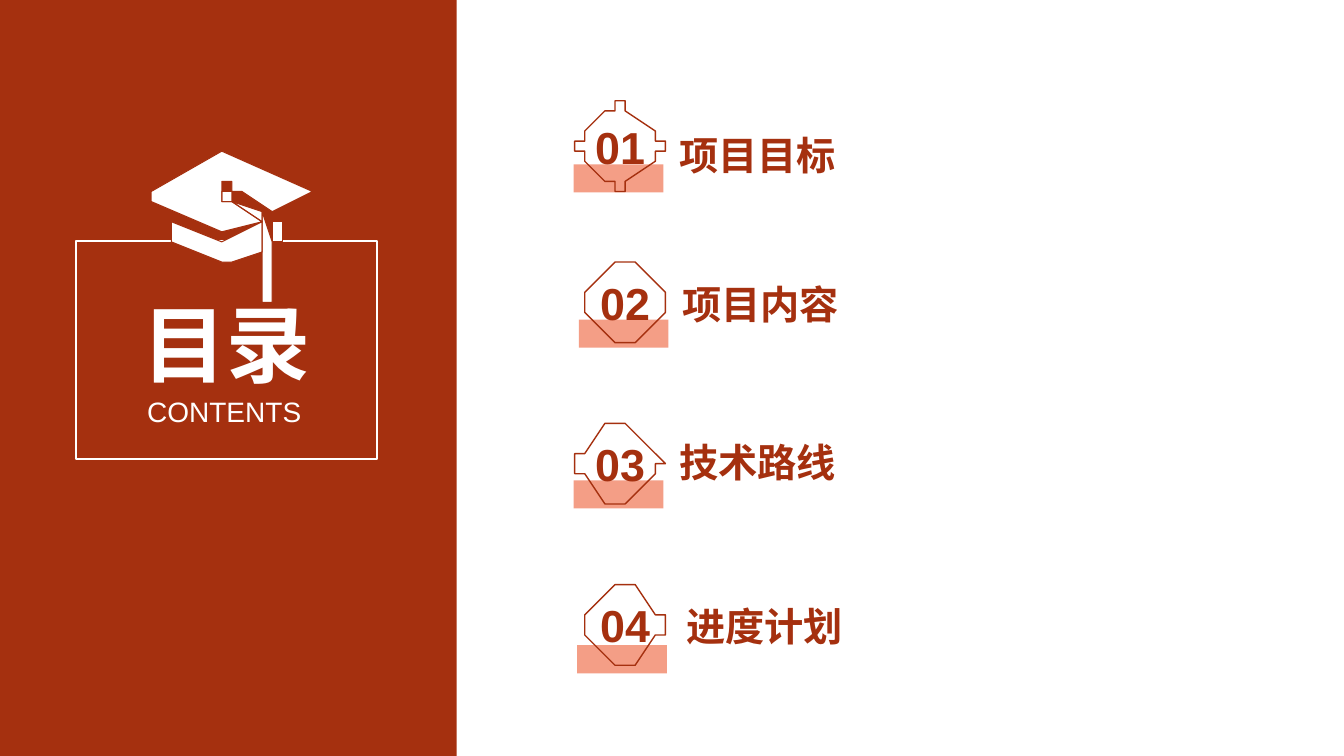
import math
from dataclasses import dataclass

import lxml.etree
import pptx
import pptx.dml.color
import pptx.enum.shapes
import pptx.enum.text
import pptx.oxml.ns
import pptx.util

ALIGN = pptx.enum.text.PP_ALIGN
ANCHOR = pptx.enum.text.MSO_ANCHOR


@dataclass(frozen=True)
class Theme:
    brick: str = "A5300F"
    salmon: str = "F49E86"
    white: str = "FFFFFF"
    chinese: str = "Noto Sans CJK SC"
    latin: str = "Arial"
    title: int = 60
    subtitle: int = 20
    number: int = 32
    label: int = 28


THEME = Theme()

# Number, diamond centre, label left and top; all in grid units
ENTRIES = [
    ("01", "项目目标", 61.4, 14.45, 66.4, 12.5),
    ("02", "项目内容", 61.9, 29.85, 66.7, 27.3),
    ("03", "技术路线", 61.4, 45.8, 66.4, 43.0),
    ("04", "进度计划", 61.75, 62.15, 67.1, 59.3),
]


def grid(units):
    """One grid unit is a tenth of an inch, across and down."""
    return pptx.util.Inches(units / 10)


def colour(value):
    return pptx.dml.color.RGBColor.from_string(value)


def style_shape(shape, fill=None, line=None, weight=1.0):
    shape.shadow.inherit = False
    if fill:
        shape.fill.solid()
        shape.fill.fore_color.rgb = colour(fill)
    else:
        shape.fill.background()
    if line:
        shape.line.color.rgb = colour(line)
        shape.line.width = pptx.util.Pt(weight)
    else:
        shape.line.fill.background()


def write_text(shape, text, size, face, ink, bold=True, align=ALIGN.LEFT,
               anchor=ANCHOR.TOP, wrap=True):
    frame = shape.text_frame
    frame.text = text
    frame.word_wrap = wrap
    frame.auto_size = pptx.enum.text.MSO_AUTO_SIZE.NONE
    frame.vertical_anchor = anchor
    para = frame.paragraphs[0]
    para.alignment = align
    para.font.size = pptx.util.Pt(size)
    para.font.bold = bold
    para.font.color.rgb = colour(ink)
    para.font.name = face
    # East Asian text needs its own typeface entry
    defaults = para.font._element
    east_asian = lxml.etree.SubElement(defaults, pptx.oxml.ns.qn("a:ea"))
    east_asian.set("typeface", face)


def add_rectangle(page, left, top, width, height, **style):
    box = page.shapes.add_shape(
        pptx.enum.shapes.MSO_SHAPE.RECTANGLE, *map(grid, (left, top, width, height)))
    style_shape(box, **style)


def add_text(page, left, top, width, height, *text, **style):
    box = page.shapes.add_textbox(*map(grid, (left, top, width, height)))
    write_text(box, *text, wrap=False, **style)


def add_outline(page, contours, **style):
    """Draw closed contours as one freeform."""
    builder = None
    for first, *rest in contours:
        if builder is None:
            builder = page.shapes.build_freeform(*first, scale=float(grid(1)))
        else:
            builder.move_to(*first)
        builder.add_line_segments(rest, close=True)
    outline = builder.convert_to_shape()
    style_shape(outline, **style)
    return outline


def arc(x, y, radius, start, end, steps=12):
    angles = [math.radians(start + (end - start) * i / steps) for i in range(steps + 1)]
    return [(x + radius * math.cos(a), y + radius * math.sin(a)) for a in angles]


def add_diamond(page, x, y, number):
    reach, radius = 2.62, 1.53
    points = []
    for turn in (0, 90, 180, 270):
        (corner,) = arc(x, y, reach, turn, turn, steps=1)[:1]
        points += arc(*corner, radius, turn - 45, turn + 45)
    diamond = add_outline(page, [points], line=THEME.brick)
    write_text(diamond, number, THEME.number, THEME.latin, THEME.brick,
               align=ALIGN.CENTER, anchor=ANCHOR.MIDDLE)


def add_cap(page):
    ring = (22.6, 19.3)
    side = [(26.7, 24.2), (27.6, 23.7), (27.6, 21.5), (26.7, 21.9)]
    band = [(17.4, 21.5), (17.4, 23.7), (22.2, 26.0), (22.55, 26.1), (22.9, 26.0),
            (25.8, 24.6), (25.8, 22.3), (22.5, 24.0)]
    cord = [(26.5, 21.3), (26.4, 21.3), (23.3, 19.5), *arc(*ring, 0.75, 0, -310),
            (26.2, 21.6)]
    board = [(30.6, 19.3), (22.5, 15.4), (14.7, 19.1), (14.7, 19.5), (22.5, 23.3),
             (25.8, 21.6), (25.8, 21.5), *arc(*ring, 0.95, 58, 366), (26.7, 21.2)]
    tassel = [(26.5, 21.3), (26.6, 24.2), (26.8, 24.6), (26.6, 25.0), (26.8, 25.0),
              (27.2, 29.5), (25.6, 29.5), (26.0, 25.0), (26.2, 25.0), (26.0, 24.6),
              (26.2, 24.2), (26.2, 21.6)]
    add_outline(page, [side, band, cord, board, tassel],
                fill=THEME.white, line=THEME.brick, weight=0.75)


def add_title(page, text):
    title = page.shapes.title
    title.left, title.top, title.width, title.height = map(grid, (6.2, 28.5, 32.5, 11.1))
    write_text(title, text, THEME.title, THEME.chinese, THEME.white, align=ALIGN.CENTER)
    # Bring the title in front of the panel
    title.element.getparent().append(title.element)


def add_entry(page, number, label, x, y, label_left, label_top):
    add_rectangle(page, x - 4.5, y + 1.85, 8.9, 2.8, fill=THEME.salmon)
    add_diamond(page, x, y, number)
    add_text(page, label_left, label_top, 18.7, 5.7, label,
             THEME.label, THEME.chinese, THEME.brick)


def main():
    deck = pptx.Presentation()
    deck.slide_width, deck.slide_height = pptx.util.Inches(13.33), pptx.util.Inches(7.5)
    page = deck.slides.add_slide(deck.slide_layouts.get_by_name("Title Only"))

    # Left panel with framed title and cap
    add_rectangle(page, -0.5, 0, 45.8, 75, fill=THEME.brick)
    add_rectangle(page, 7.5, 23.9, 29.9, 21.6, line=THEME.white, weight=1.5)
    add_title(page, "目录")
    add_cap(page)
    add_text(page, 13.6, 38.6, 17.5, 4.4, "CONTENTS",
             THEME.subtitle, THEME.latin, THEME.white, bold=False)

    # Contents entries
    for entry in ENTRIES:
        add_entry(page, *entry)

    deck.save("out.pptx")


main()
